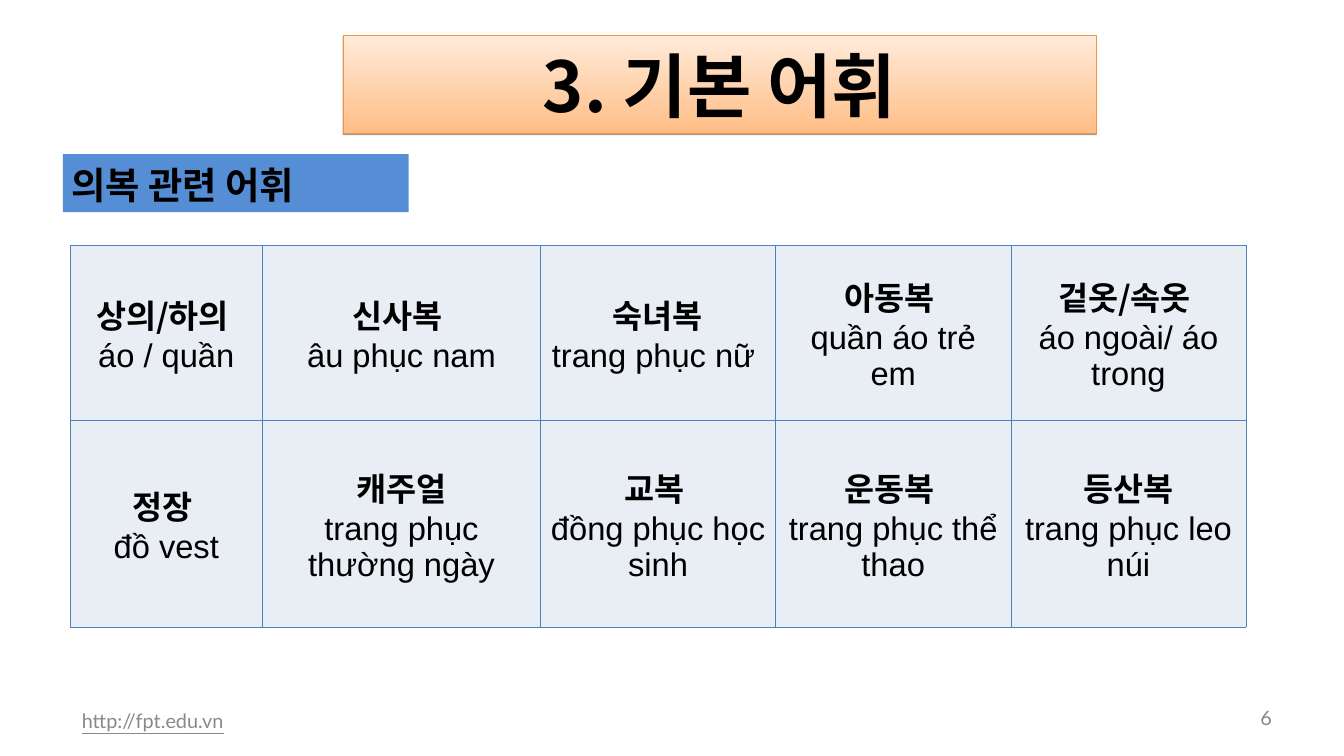
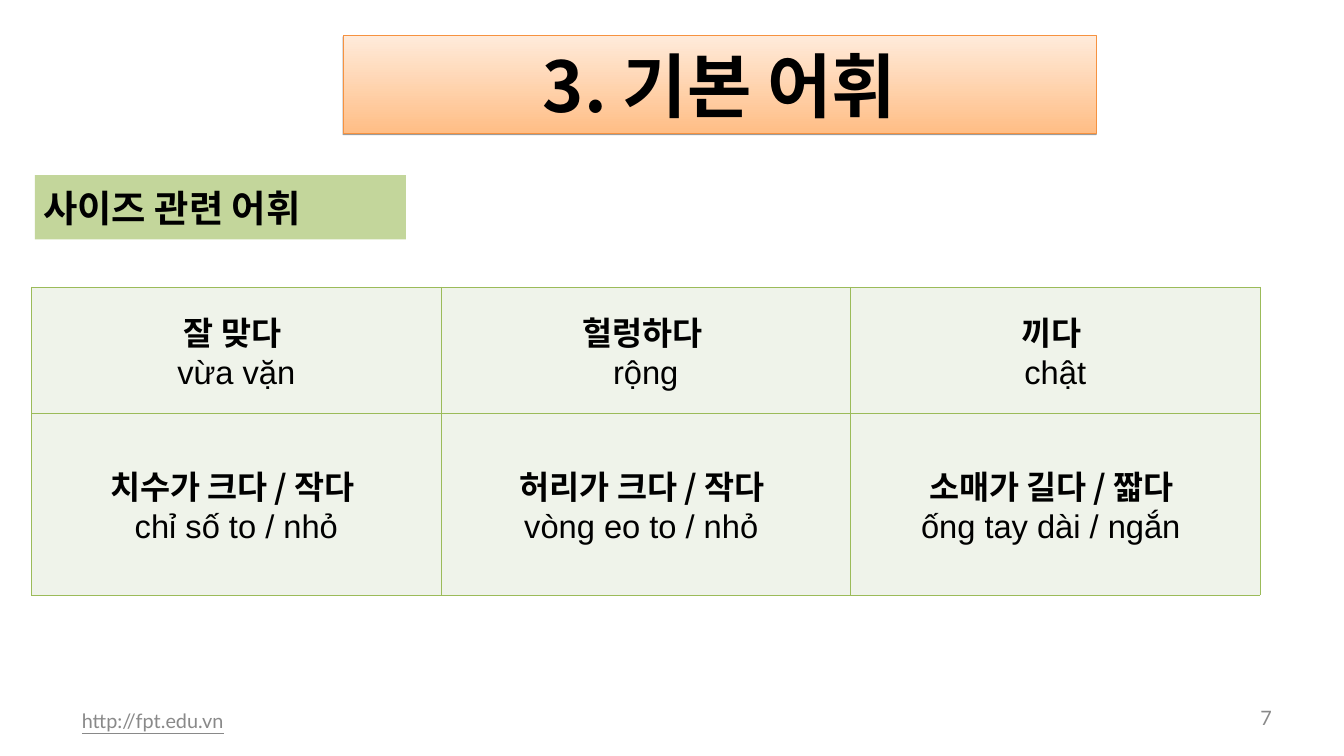
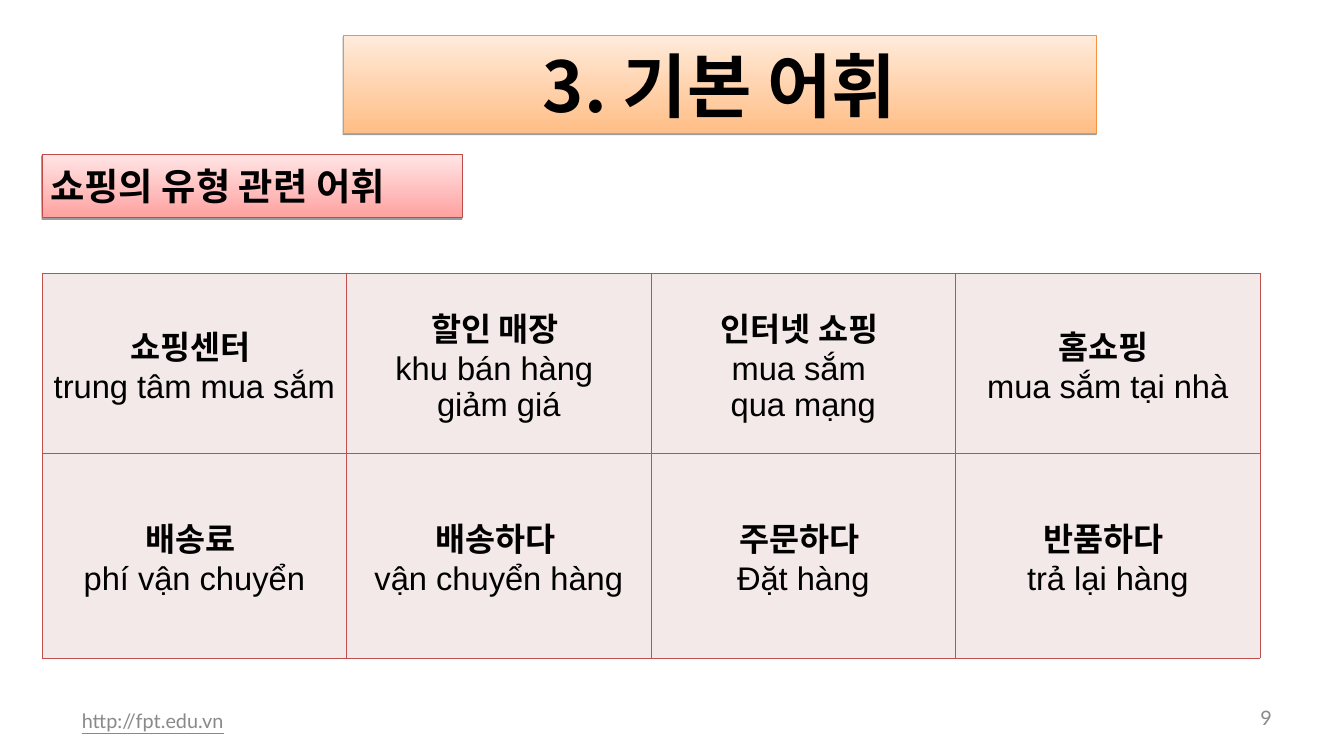
from dataclasses import dataclass

from lxml.etree import SubElement
from pptx import Presentation
from pptx.dml.color import RGBColor
from pptx.enum.shapes import MSO_SHAPE
from pptx.enum.text import MSO_ANCHOR, PP_ALIGN
from pptx.oxml.ns import qn
from pptx.util import Inches, Pt


@dataclass(frozen=True)
class Theme:
    korean: str = "Noto Sans CJK KR"
    vietnamese: str = "Arial"
    footer: str = "Lato"
    title_size: float = 60
    label_size: float = 32
    cell_size: float = 28
    footer_size: float = 17
    edge_width: float = 0.75
    border_width: float = 0.45
    ink: str = "000000"
    muted: str = "898989"
    title_fill: tuple = ("FFBE86", "FFEBDB")
    title_edge: str = "F69240"


@dataclass(frozen=True)
class Topic:
    number: int
    label: str
    label_area: tuple
    label_fill: object
    table_origin: tuple
    columns: list
    rows: list
    border: str
    cell_fill: str
    words: list
    label_edge: str = ""
    label_anchor: MSO_ANCHOR = MSO_ANCHOR.MIDDLE


THEME = Theme()
UNITS_PER_INCH = 12
SLIDE_COLUMNS, SLIDE_ROWS = 192, 108

TOPICS = [
    Topic(
        number=6,
        label="의복 관련 어휘",
        label_area=(9, 22, 49.4, 8.3),
        label_fill="558ED5",
        label_anchor=MSO_ANCHOR.TOP,
        table_origin=(10, 35),
        columns=[27.5, 39.7, 33.6, 33.6, 33.6],
        rows=[25, 29.6],
        border="4F81BD",
        cell_fill="E9EDF4",
        words=[
            [
                ("상의/하의 ", "áo / quần"),
                ("신사복 ", "âu phục nam"),
                ("숙녀복", "trang phục nữ "),
                ("아동복 ", "quần áo trẻ em"),
                ("겉옷/속옷 ", "áo ngoài/ áo trong"),
            ],
            [
                ("정장 ", "đồ vest"),
                ("캐주얼", "trang phục thường ngày"),
                ("교복 ", "đồng phục học sinh"),
                ("운동복 ", "trang phục thể thao"),
                ("등산복", "trang phục leo núi"),
            ],
        ],
    ),
    Topic(
        number=7,
        label="사이즈 관련 어휘",
        label_area=(5, 25, 53, 9.2),
        label_fill="C3D69B",
        table_origin=(4.5, 41),
        columns=[58.5] * 3,
        rows=[18, 26],
        border="9BBB59",
        cell_fill="EFF3EA",
        words=[
            [
                ("잘 맞다 ", "vừa vặn"),
                ("헐렁하다 ", "rộng"),
                ("끼다 ", "chật"),
            ],
            [
                ("치수가 크다 / 작다 ", "chỉ số to / nhỏ"),
                ("허리가 크다 / 작다 ", "vòng eo to / nhỏ "),
                ("소매가 길다 / 짧다 ", "ống tay dài / ngắn "),
            ],
        ],
    ),
    Topic(
        number=9,
        label="쇼핑의 유형 관련 어휘",
        label_area=(6, 22, 60, 9.1),
        label_fill=("FFA2A1", "FFE5E5"),
        label_edge="BE4B48",
        table_origin=(6, 39),
        columns=[43.5] * 4,
        rows=[25.8, 29.2],
        border="C0504D",
        cell_fill="F4E9E9",
        words=[
            [
                ("쇼핑센터 ", "trung tâm mua sắm"),
                ("할인 매장 ", "khu bán hàng ", "giảm giá"),
                ("인터넷 쇼핑 ", "mua sắm ", "qua mạng"),
                ("홈쇼핑 ", "mua sắm tại nhà"),
            ],
            [
                ("배송료 ", "phí vận chuyển"),
                ("배송하다 ", "vận chuyển hàng"),
                ("주문하다 ", "Đặt hàng"),
                ("반품하다 ", "trả lại hàng"),
            ],
        ],
    ),
]


def grid(units):
    return Inches(units / UNITS_PER_INCH)


def color(value):
    return RGBColor.from_string(value)


def write(para, text, *, font, size, ink=THEME.ink, bold=False,
          underline=False, align=PP_ALIGN.LEFT):
    para.alignment = align
    span = para.add_run()
    span.text = text
    span.font.name = font
    span.font.size = Pt(size)
    span.font.bold = bold
    span.font.underline = underline
    span.font.color.rgb = color(ink)
    for script in ("a:ea", "a:cs"):
        SubElement(span.font._element, qn(script), typeface=font)


def set_frame(frame, anchor, horizontal, vertical):
    frame.word_wrap = True
    frame.vertical_anchor = anchor
    frame.margin_left = frame.margin_right = Inches(horizontal)
    frame.margin_top = frame.margin_bottom = Inches(vertical)


def paint(box, fill):
    if isinstance(fill, str):
        box.fill.solid()
        box.fill.fore_color.rgb = color(fill)
        return
    box.fill.gradient()
    box.fill.gradient_angle = 90
    for stop, value in zip(box.fill.gradient_stops, fill):
        stop.color.rgb = color(value)


def add_drop_shadow(box):
    effects = box._element.spPr.find(qn("a:effectLst"))
    shadow = SubElement(effects, qn("a:outerShdw"), blurRad="0",
                        dist=str(Pt(1.6)), dir="5400000", rotWithShape="0")
    black = SubElement(shadow, qn("a:srgbClr"), val="000000")
    SubElement(black, qn("a:alpha"), val="38000")


def add_band(page, text, area, fill, edge="", anchor=MSO_ANCHOR.MIDDLE,
             padding=0.1, **text_format):
    box = page.shapes.add_shape(MSO_SHAPE.RECTANGLE, *map(grid, area))
    box.shadow.inherit = False
    paint(box, fill)
    if edge:
        box.line.color.rgb = color(edge)
        box.line.width = Pt(THEME.edge_width)
        add_drop_shadow(box)
    else:
        box.line.fill.background()
    set_frame(box.text_frame, anchor, 0.1, padding)
    write(box.text_frame.paragraphs[0], text, font=THEME.korean, bold=True,
          **text_format)


def add_footer_text(page, text, area, **text_format):
    box = page.shapes.add_textbox(*map(grid, area))
    set_frame(box.text_frame, MSO_ANCHOR.MIDDLE, 0.14, 0.07)
    write(box.text_frame.paragraphs[0], text, font=THEME.footer,
          size=THEME.footer_size, ink=THEME.muted, **text_format)


def add_borders(cell, border):
    properties = cell._tc.get_or_add_tcPr()
    for side in ("a:lnL", "a:lnR", "a:lnT", "a:lnB"):
        line = SubElement(properties, qn(side), w=str(Pt(THEME.border_width)))
        solid = SubElement(line, qn("a:solidFill"))
        SubElement(solid, qn("a:srgbClr"), val=border)


def fill_cell(cell, lines, topic):
    add_borders(cell, topic.border)
    cell.fill.solid()
    cell.fill.fore_color.rgb = color(topic.cell_fill)
    cell.vertical_anchor = MSO_ANCHOR.MIDDLE
    frame = cell.text_frame
    for index, text in enumerate(lines):
        para = frame.add_paragraph() if index else frame.paragraphs[0]
        write(para, text, font=THEME.vietnamese if index else THEME.korean,
              size=THEME.cell_size, bold=index == 0, align=PP_ALIGN.CENTER)


def add_word_table(page, topic):
    extent = (sum(topic.columns), sum(topic.rows))
    table = page.shapes.add_table(
        len(topic.rows), len(topic.columns),
        *map(grid, topic.table_origin + extent)).table
    table.first_row = table.horz_banding = False
    for column, width in zip(table.columns, topic.columns):
        column.width = grid(width)
    for row, height, entries in zip(table.rows, topic.rows, topic.words):
        row.height = grid(height)
        for cell, lines in zip(row.cells, entries):
            fill_cell(cell, lines, topic)


def add_topic_page(deck, topic):
    page = deck.slides.add_slide(deck.slide_layouts[6])
    add_footer_text(page, "http://fpt.edu.vn", (10, 100, 60.8, 5.8),
                    underline=True)
    add_footer_text(page, str(topic.number), (174, 100, 9.4, 4.9),
                    align=PP_ALIGN.RIGHT)
    add_band(page, "3. 기본 어휘", (49, 5, 107.6, 14), THEME.title_fill,
             edge=THEME.title_edge, padding=0.05, size=THEME.title_size,
             align=PP_ALIGN.CENTER)
    add_band(page, topic.label, topic.label_area, topic.label_fill,
             edge=topic.label_edge, anchor=topic.label_anchor,
             size=THEME.label_size)
    add_word_table(page, topic)


def main():
    deck = Presentation()
    deck.slide_width = grid(SLIDE_COLUMNS)
    deck.slide_height = grid(SLIDE_ROWS)
    for topic in TOPICS:
        add_topic_page(deck, topic)
    deck.save("out.pptx")


if __name__ == "__main__":
    main()
